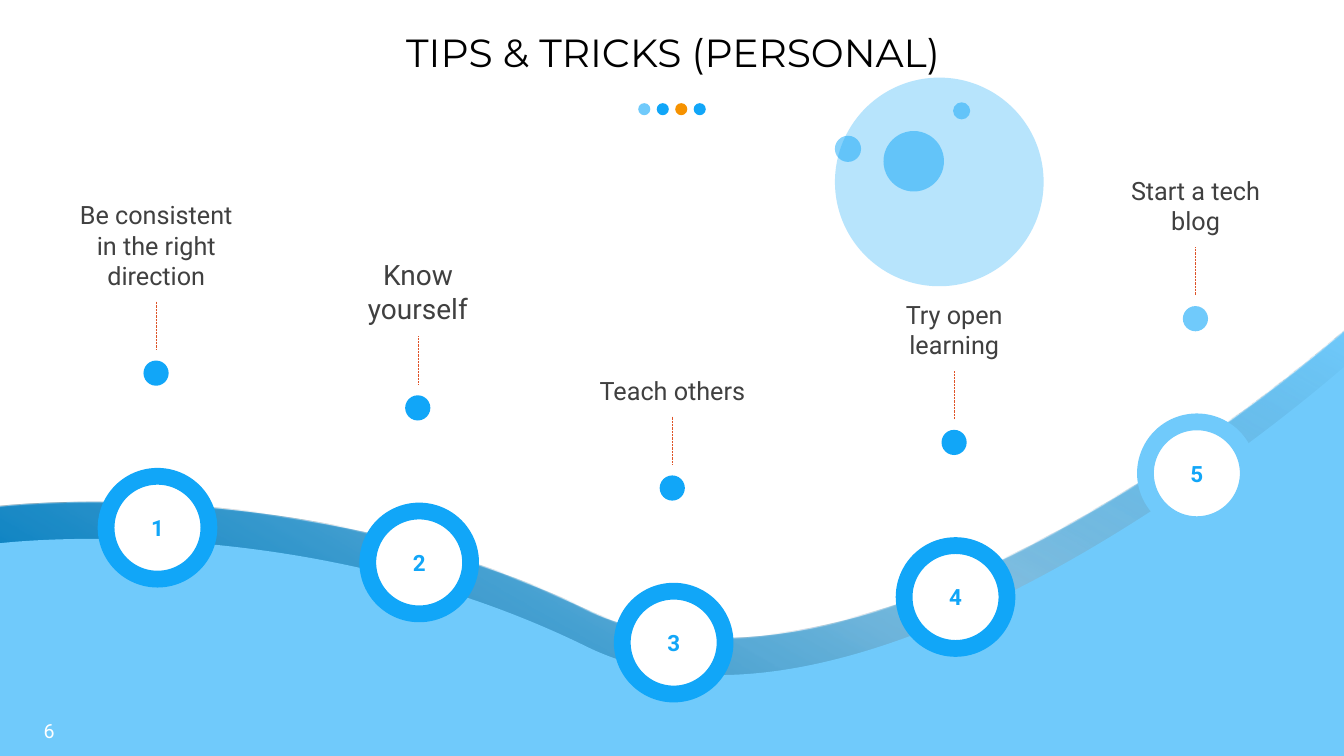
import pptx
import pptx.util
import pptx.dml.color
import pptx.enum.dml
import pptx.enum.shapes
import pptx.enum.text
import pptx.oxml
import pptx.oxml.ns
from lxml import etree

RGBColor = pptx.dml.color.RGBColor
Align = pptx.enum.text.PP_ALIGN
Anchor = pptx.enum.text.MSO_ANCHOR
qn = pptx.oxml.ns.qn

SKY = RGBColor(0x70, 0xCA, 0xFB)
BLUE = RGBColor(0x11, 0xA6, 0xF8)
DEEP_BLUE = RGBColor(0x06, 0x7F, 0xC1)
ORANGE = RGBColor(0xF6, 0x92, 0x00)
RUST = RGBColor(0xDF, 0x53, 0x27)
GRAY = RGBColor(0x40, 0x40, 0x40)
BLACK = RGBColor(0, 0, 0)
WHITE = RGBColor(0xFF, 0xFF, 0xFF)

deck = pptx.Presentation()
deck.slide_width = pptx.util.Inches(13.333)
deck.slide_height = pptx.util.Inches(7.5)
slide = deck.slides.add_slide(deck.slide_layouts[6])

# The slide is a grid of 160 columns by 90 rows with square cells
CELL = deck.slide_height / 90


def add_circle(x, y, diameter, color):
    """Add a filled circle centred on a grid point."""
    circle = slide.shapes.add_shape(
        pptx.enum.shapes.MSO_SHAPE.OVAL,
        *[round(n * CELL) for n in (x - diameter / 2, y - diameter / 2, diameter, diameter)])
    circle.shadow.inherit = False
    circle.fill.solid()
    circle.fill.fore_color.rgb = color
    circle.line.fill.background()
    return circle


def write(holder, text, size, color, anchor, align=Align.CENTER, font="Roboto", bold=False):
    """Put one formatted paragraph into a shape or text box."""
    frame = holder.text_frame
    frame.word_wrap = True
    frame.vertical_anchor = anchor
    frame.text = text
    paragraph = frame.paragraphs[0]
    paragraph.alignment = align
    style = paragraph.runs[0].font
    style.name, style.size, style.bold = font, pptx.util.Pt(size), bold
    style.color.rgb = color
    return paragraph


# Four dots under the title
for i, color in enumerate([SKY, BLUE, ORANGE, BLUE]):
    add_circle(76.7 + 2.2 * i, 13, 1.44, color)

# Road and the hill in front of it: the same outline, shifted down
CREST = [(-0.12, 60.36),
         (-0.12, 60.36), (35.64, 55.92), (69.72, 72.6),
         (103.68, 89.4), (160, 39.36), (160, 39.36)]
CORNERS = [(160, 90), (-0.12, 90)]
waves = []
for drop in (0, 4.32):
    outline = [(x * CELL, (y + drop) * CELL) for x, y in CREST + CORNERS]
    builder = slide.shapes.build_freeform(*outline[0])
    builder.add_line_segments(outline[1:], close=True)
    wave = builder.convert_to_shape()
    wave.shadow.inherit = False
    wave.line.fill.background()
    # Turn each three crest segments into one Bezier curve
    segments = list(wave.element.spPr.iter(qn("a:lnTo")))
    for first in (0, 3):
        bend = etree.Element(qn("a:cubicBezTo"))
        segments[first].addprevious(bend)
        for segment in segments[first:first + 3]:
            bend.append(segment[0])
            segment.getparent().remove(segment)
    waves.append(wave)
road, hill = waves
hill.fill.solid()
hill.fill.fore_color.rgb = SKY

# Road gradient with a half transparent middle stop
road.fill.gradient()
road.fill.gradient_angle = 60
stops = road.element.spPr.find(qn("a:gradFill")).find(qn("a:gsLst"))
for stop in list(stops):
    stops.remove(stop)
for position, color, opacity in [(13, DEEP_BLUE, 100), (61, DEEP_BLUE, 50), (100, SKY, 100)]:
    stop = etree.SubElement(stops, qn("a:gs"), pos=str(position * 1000))
    shade = etree.SubElement(stop, qn("a:srgbClr"), val=str(color))
    etree.SubElement(shade, qn("a:alpha"), val=str(opacity * 1000))

# Translucent bubbles
for x, y, diameter, color in [(111.82, 21.66, 24.84, SKY), (108.78, 19.2, 7.2, BLUE),
                              (100.95, 17.72, 3.12, BLUE), (114.48, 13.2, 2.04, BLUE)]:
    bubble = add_circle(x, y, diameter, color)
    tint = bubble.element.spPr.find(qn("a:solidFill")).find(qn("a:srgbClr"))
    etree.SubElement(tint, qn("a:alpha"), val="50000")

# Title
title = slide.shapes.add_textbox(*[round(n * CELL) for n in (3.6, 2.64, 153, 7.68)])
heading = write(title, "TIPS & TRICKS (PERSONAL)", 28, BLACK, Anchor.MIDDLE, font="Montserrat")
heading.line_spacing = 0.9

# Tips along the road: label, dotted line, dot and numbered ring
TIPS = [("Be consistent in the right direction", 18, 18.6, 62.82, BLUE),
        ("Know yourself", 20, 49.75, 66.96, BLUE),
        ("Teach others", 18, 80.05, 76.5, BLUE),
        ("Try open learning", 18, 113.6, 71.07, BLUE),
        ("Start a tech blog", 18, 142.33, 56.34, SKY)]
for number, (tip, size, x, y, color) in enumerate(TIPS, start=1):
    label = slide.shapes.add_textbox(
        *[round(n * CELL) for n in (x - 11.34, y - 35.94, 22.68, 8.28)])
    write(label, tip, size, GRAY, Anchor.BOTTOM)

    add_circle(x - 0.02, y - 18.4, 3, color)

    stem = slide.shapes.add_connector(
        pptx.enum.shapes.MSO_CONNECTOR.STRAIGHT,
        *[round(n * CELL) for n in (x, y - 26.9, x, y - 21.15)])
    stem.line.color.rgb = RUST
    stem.line.width = pptx.util.Pt(0.5)
    stem.line.dash_style = pptx.enum.dml.MSO_LINE.ROUND_DOT
    etree.SubElement(stem.element.spPr, qn("a:effectLst"))

    ring = add_circle(x + 0.15, y, 12.24, WHITE)
    ring.line.color.rgb = color
    ring.line.width = pptx.util.Pt(12)
    write(ring, str(number), 16, BLUE, Anchor.MIDDLE, bold=True)

# Page number
page = slide.shapes.add_textbox(*[round(n * CELL) for n in (4, 84.6, 37.32, 4.8)])
write(page, "6", 14, WHITE, Anchor.MIDDLE, align=Align.LEFT)

deck.save("out.pptx")
